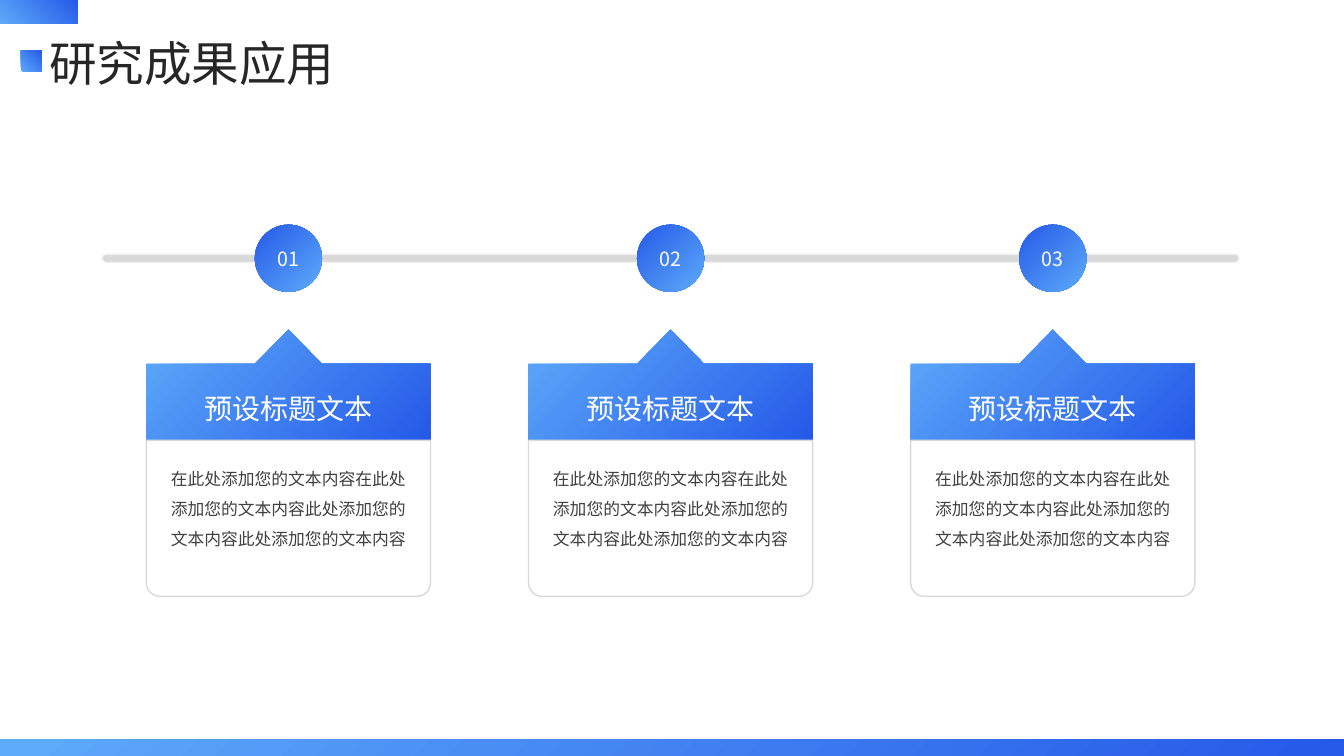
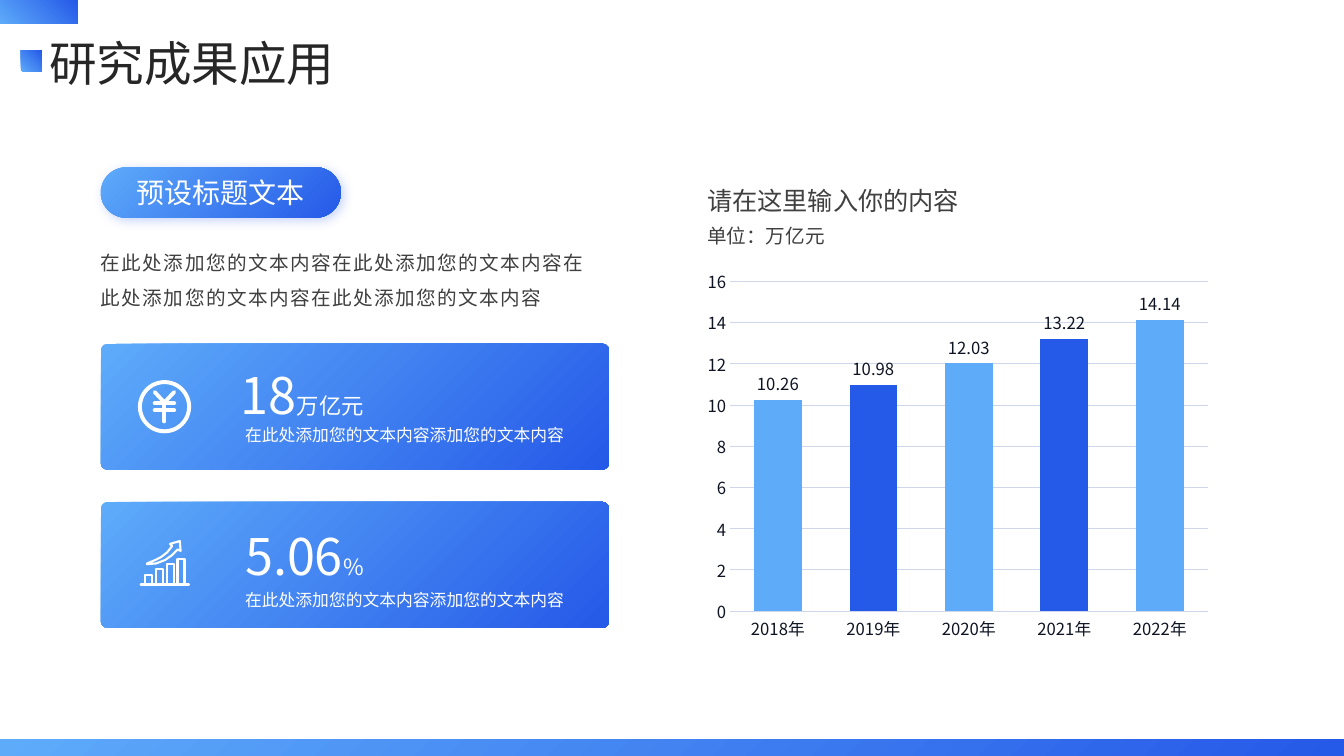
import pptx
import pptx.chart.data
import pptx.dml.color
import pptx.enum.chart
import pptx.enum.shapes
import pptx.enum.text
import pptx.oxml.ns
import pptx.util
from dataclasses import dataclass
from lxml import etree

Pt = pptx.util.Pt
SHAPE = pptx.enum.shapes.MSO_SHAPE
ALIGN = pptx.enum.text.PP_ALIGN
qn = pptx.oxml.ns.qn


@dataclass(frozen=True)
class Theme:
    font: str = "Noto Sans CJK SC"
    light: str = "5EABFA"
    dark: str = "2559E8"
    white: str = "FFFFFF"
    heading: str = "262626"
    body: str = "404040"
    chart_text: str = "0F1423"
    grid: str = "CFD6EA"
    border: str = "D9D9D9"
    track_edge: str = "F2F2F2"
    title_size: float = 34
    figure_size: float = 36
    card_size: float = 20
    caption_size: float = 18
    unit_size: float = 16
    text_size: float = 14
    small_size: float = 12
    chart_size: float = 11.9


THEME = Theme()
WIDTH, HEIGHT = 960, 540
DOWN_RIGHT, UP_RIGHT = 315, 45  # counter-clockwise degrees

TITLE = "研究成果应用"
STEP_BODY = "在此处添加您的文本内容在此处添加您的文本内容此处添加您的文本内容此处添加您的文本内容"
STEPS = [(number, "预设标题文本", STEP_BODY) for number in ("01", "02", "03")]

PILL = "预设标题文本"
INTRO = "在此处添加您的文本内容在此处添加您的文本内容在此处添加您的文本内容在此处添加您的文本内容"
CARD_NOTE = "在此处添加您的文本内容添加您的文本内容"
CHART_TITLE = "请在这里输入你的内容"
CHART_UNIT = "单位：万亿元"
CHART_VALUES = {"2018年": 10.26, "2019年": 10.98, "2020年": 12.03,
                "2021年": 13.22, "2022年": 14.14}

# Icon strokes, in points from the corner of their card: (points, closed)
YEN_CENTER, YEN_SIZE = (45.5, 45), 38
YEN_STROKES = [
    ([(38.5, 34.5), (45.5, 42), (52.5, 34.5)], False),
    ([(45.5, 42), (45.5, 55.5)], False),
    ([(38.5, 42.5), (52.5, 42.5)], False),
    ([(38.5, 47.5), (52.5, 47.5)], False),
]
GROWTH_BASE = 59
GROWTH_ARROW = [(33, 44), (39, 41.5), (43, 39.5), (47.5, 36), (51, 31.5), (49.5, 30),
                (56.5, 28), (57, 35), (55, 34), (51, 38), (46, 41.5), (39.5, 44), (33, 44.5)]


def growth_strokes():
    strokes = [([(28.5, GROWTH_BASE), (63, GROWTH_BASE)], False), (GROWTH_ARROW, True)]
    for index in range(4):
        left, top = 31.7 + 7.7 * index, 52 - 3.75 * index
        strokes.append(([(left, GROWTH_BASE), (left, top),
                         (left + 5, top), (left + 5, GROWTH_BASE)], False))
    return strokes


def rgb(value):
    return pptx.dml.color.RGBColor.from_string(value)


def set_format(target, values):
    for name, value in values.items():
        setattr(target, name, value)


def style_font(font, size, color):
    set_format(font, {"size": Pt(size), "name": THEME.font, "bold": False})
    font.color.rgb = rgb(color)
    east_asian = etree.SubElement(font._rPr, qn("a:ea"))
    east_asian.set("typeface", THEME.font)


def write_text(frame, runs, color, align=ALIGN.LEFT, line_spacing=1.0, tracking=0):
    """Write (text, size) runs as the single paragraph of a frame."""
    paragraph = frame.paragraphs[0]
    set_format(paragraph, {"alignment": align, "line_spacing": line_spacing})
    for text, size in runs:
        run = paragraph.add_run()
        run.text = text
        style_font(run.font, size, color)
        if tracking:
            run.font._rPr.set("spc", str(tracking * 100))


def add_text(slide, box, runs, color, **options):
    frame = slide.shapes.add_textbox(*map(Pt, box)).text_frame
    frame.word_wrap = True
    write_text(frame, runs, color, **options)


def fill_gradient(shape, colors=(THEME.light, THEME.dark), angle=DOWN_RIGHT):
    shape.fill.gradient()
    shape.fill.gradient_angle = angle
    for stop, color in zip(shape.fill.gradient_stops, colors):
        stop.color.rgb = rgb(color)


def set_line(line, color, width):
    line.color.rgb = rgb(color)
    line.width = Pt(width)


def add_shape(slide, kind, box, adjustments=()):
    """Add a preset shape with neither shadow nor outline."""
    shape = slide.shapes.add_shape(kind, *map(Pt, box))
    shape.shadow.inherit = False
    shape.line.fill.background()
    for index, value in enumerate(adjustments):
        shape.adjustments[index] = value
    return shape


def add_label_shape(slide, kind, box, text, size, adjustments=()):
    shape = add_shape(slide, kind, box, adjustments)
    frame = shape.text_frame
    set_format(frame, {"margin_left": 0, "margin_right": 0,
                       "vertical_anchor": pptx.enum.text.MSO_ANCHOR.MIDDLE})
    write_text(frame, [(text, size)], THEME.white, align=ALIGN.CENTER)
    return shape


def build_outline(slide, strokes, origin=(0, 0)):
    builder = None
    for points, closed in strokes:
        start, *rest = [(Pt(origin[0] + x), Pt(origin[1] + y)) for x, y in points]
        if builder is None:
            builder = slide.shapes.build_freeform(*start)
        else:
            builder.move_to(*start)
        builder.add_line_segments(rest, close=closed)
    shape = builder.convert_to_shape()
    shape.shadow.inherit = False
    return shape


def add_icon(slide, strokes, origin, width):
    icon = build_outline(slide, strokes, origin)
    icon.fill.background()
    set_line(icon.line, THEME.white, width)
    icon.line._get_or_add_ln().set("cap", "rnd")


def add_glow(shape):
    """Give a shape a soft blue shadow."""
    shadow = etree.SubElement(shape._element.spPr.find(qn("a:effectLst")), qn("a:outerShdw"))
    for name, value in {"blurRad": Pt(8), "dist": Pt(3), "dir": 45 * 60000,
                        "algn": "tl", "rotWithShape": 0}.items():
        shadow.set(name, str(int(value)) if name != "algn" else value)
    color = etree.SubElement(shadow, qn("a:srgbClr"), val=THEME.dark)
    etree.SubElement(color, qn("a:alpha"), val="25000")


def add_base_slide(presentation):
    slide = presentation.slides.add_slide(presentation.slide_layouts[6])
    for box, angle in [((0, 0, 55.5, 17), UP_RIGHT),
                       ((15, 36, 15, 15), UP_RIGHT),
                       ((0, 528, WIDTH, 12), DOWN_RIGHT)]:
        fill_gradient(add_shape(slide, SHAPE.RECTANGLE, box), angle=angle)
    add_text(slide, (28, 21, 224, 48), [(TITLE, THEME.title_size)], THEME.heading,
             align=ALIGN.JUSTIFY)
    return slide


def add_step(slide, left, number, heading, body):
    width, peak, shoulder, bottom = 203, 235.5, 260, 314
    center, half, dot = left + width / 2, 24, 48
    flag = build_outline(slide, [([
        (left, bottom), (left, shoulder), (center - half, shoulder), (center, peak),
        (center + half, shoulder), (left + width, shoulder), (left + width, bottom)], True)])
    fill_gradient(flag)
    flag.line.fill.background()
    panel = add_shape(slide, SHAPE.ROUND_2_SAME_RECTANGLE,
                      (left, bottom + 0.5, width, 111.5), (0, 0.087))
    panel.fill.background()
    set_line(panel.line, THEME.border, 1)
    add_text(slide, (left + 10, 324, width - 20, 73), [(body, THEME.small_size)],
             THEME.body, align=ALIGN.CENTER, line_spacing=1.5)
    add_text(slide, (left - 9, 271.5, width + 18, 36), [(heading, THEME.card_size)],
             THEME.white, align=ALIGN.CENTER, line_spacing=1.2)
    circle = add_label_shape(slide, SHAPE.OVAL, (center - dot / 2, 160.5, dot, dot),
                             number, THEME.text_size)
    fill_gradient(circle, (THEME.dark, THEME.light))


def build_timeline_slide(presentation):
    slide = add_base_slide(presentation)
    track = add_shape(slide, SHAPE.ROUNDED_RECTANGLE, (73, 181.5, 812, 6), (0.5,))
    track.fill.solid()
    track.fill.fore_color.rgb = rgb(THEME.border)
    set_line(track.line, THEME.track_edge, 1)
    for index, step in enumerate(STEPS):
        add_step(slide, 104.5 + 273 * index, *step)


def add_figure_card(slide, top, runs, runs_at, note_top):
    left = 72
    fill_gradient(add_shape(slide, SHAPE.ROUNDED_RECTANGLE, (left, top, 363, 90), (0.052,)))
    add_text(slide, (left + runs_at[0], top + runs_at[1], 183, 62), runs, THEME.white,
             line_spacing=1.25)
    add_text(slide, (168, top + note_top, 256, 22), [(CARD_NOTE, THEME.small_size)],
             THEME.white, align=ALIGN.JUSTIFY)
    return left, top


def add_column_chart(slide):
    data = pptx.chart.data.CategoryChartData(number_format="0.00")
    data.categories = list(CHART_VALUES)
    data.add_series("Series 1", list(CHART_VALUES.values()))
    chart = slide.shapes.add_chart(
        pptx.enum.chart.XL_CHART_TYPE.COLUMN_CLUSTERED,
        *map(Pt, (498, 186.5, 372, 276.5)), data).chart
    set_format(chart, {"has_legend": False, "has_title": False})
    style_font(chart.font, THEME.chart_size, THEME.chart_text)

    plot = chart.plots[0]
    set_format(plot, {"gap_width": 100, "overlap": -24, "vary_by_categories": False,
                      "has_data_labels": True})
    set_format(plot.data_labels, {
        "show_value": True, "number_format": "0.00", "number_format_is_linked": False,
        "position": pptx.enum.chart.XL_LABEL_POSITION.OUTSIDE_END})
    for index in range(len(CHART_VALUES)):
        fill = plot.series[0].points[index].format.fill
        fill.solid()
        fill.fore_color.rgb = rgb(THEME.dark if index % 2 else THEME.light)

    values, categories = chart.value_axis, chart.category_axis
    set_format(values, {"minimum_scale": 0, "maximum_scale": 16, "major_unit": 2,
                        "has_major_gridlines": True})
    set_format(values.tick_labels, {"number_format": "0", "number_format_is_linked": False})
    for axis in (values, categories):
        axis.major_tick_mark = pptx.enum.chart.XL_TICK_MARK.NONE
    for styled in (values.tick_labels, categories.tick_labels, plot.data_labels):
        style_font(styled.font, THEME.chart_size, THEME.chart_text)
    values.format.line.fill.background()
    for line in (values.major_gridlines.format.line, categories.format.line):
        set_line(line, THEME.grid, 0.75)


def build_figures_slide(presentation):
    slide = add_base_slide(presentation)
    add_column_chart(slide)
    add_text(slide, (498, 124.5, 372, 33), [(CHART_TITLE, THEME.caption_size)],
             THEME.body, line_spacing=1.2)
    add_text(slide, (498, 156.5, 130, 24.5), [(CHART_UNIT, THEME.text_size)], THEME.body)
    pill = add_label_shape(slide, SHAPE.ROUNDED_RECTANGLE, (72, 119.5, 171.5, 36),
                           PILL, THEME.card_size, (0.5,))
    fill_gradient(pill)
    add_glow(pill)
    add_text(slide, (65, 167, 369.5, 58), [(INTRO, THEME.text_size)], THEME.body,
             line_spacing=1.5, tracking=1)

    corner = add_figure_card(
        slide, 245.5, [("18", THEME.figure_size), ("万亿元", THEME.unit_size)], (93, 0), 54.5)
    ring_box = [corner[axis] + YEN_CENTER[axis] - YEN_SIZE / 2 for axis in (0, 1)]
    ring = add_shape(slide, SHAPE.DONUT, (*ring_box, YEN_SIZE, YEN_SIZE), (0.075,))
    ring.fill.solid()
    ring.fill.fore_color.rgb = rgb(THEME.white)
    add_icon(slide, YEN_STROKES, corner, 2.75)

    corner = add_figure_card(
        slide, 358.5, [("5.06", THEME.figure_size), ("%", THEME.unit_size)], (96, 2), 59)
    add_icon(slide, growth_strokes(), corner, 1.5)


def main():
    presentation = pptx.Presentation()
    set_format(presentation, {"slide_width": Pt(WIDTH), "slide_height": Pt(HEIGHT)})
    build_timeline_slide(presentation)
    build_figures_slide(presentation)
    presentation.save("out.pptx")


if __name__ == "__main__":
    main()
